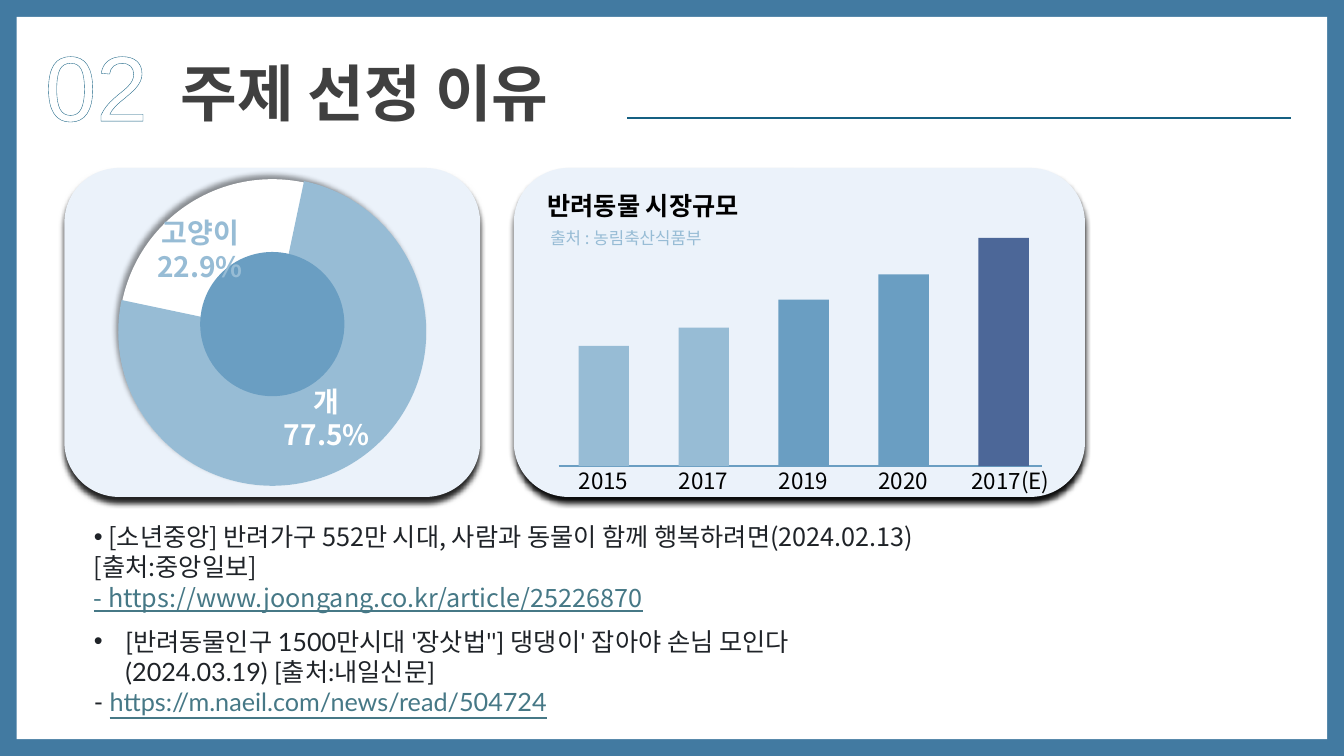
import pptx
import pptx.dml.color
import pptx.enum.shapes
import pptx.enum.text
import pptx.oxml
import pptx.oxml.ns
import pptx.util

Pt = pptx.util.Pt
KIND = pptx.enum.shapes.MSO_SHAPE
qn = pptx.oxml.ns.qn
NS = pptx.oxml.ns.nsdecls("a")
NOTO, LATO, ARIAL = "Noto Sans CJK KR", "Lato", "Arial"
HUES = {
    "frame": "427AA1", "white": "FFFFFF", "teal": "156082", "title": "404040",
    "card": "EBF2FA", "light": "97BCD5", "mid": "6A9EC2", "deep": "4C6798",
    "black": "000000", "body": "1F2328", "link": "467886",
}


def hue(name):
    """Return the named colour."""
    return pptx.dml.color.RGBColor.from_string(HUES[name])


def shape(slide, kind, box, color, shade=None):
    """Add a plain filled shape; shade is (alpha percent, angle)."""
    item = slide.shapes.add_shape(kind, *map(Pt, box))
    item.fill.solid()
    item.fill.fore_color.rgb = hue(color)
    item.line.fill.background()
    item.shadow.inherit = False
    if shade:
        alpha, angle = shade
        item._element.spPr.find(qn("a:effectLst")).append(pptx.oxml.parse_xml(
            f'<a:outerShdw {NS} blurRad="{Pt(4)}" dist="{Pt(4)}" '
            f'dir="{angle * 60000}" algn="ctr" rotWithShape="0">'
            f'<a:srgbClr val="{HUES["black"]}"><a:alpha val="{alpha * 1000}"/>'
            '</a:srgbClr></a:outerShdw>'))
    return item


def rule(slide, left, right, y, color):
    """Add a level line."""
    line = slide.shapes.add_connector(
        pptx.enum.shapes.MSO_CONNECTOR.STRAIGHT, Pt(left), Pt(y), Pt(right), Pt(y))
    line.line.color.rgb = hue(color)
    line.line.width = Pt(1.5)
    line._element.spPr.append(pptx.oxml.parse_xml(f"<a:effectLst {NS}/>"))


def style(run, size, color, face=NOTO, bold=False, under=False):
    """Set the look of a run."""
    font = run.font
    font.size, font.bold, font.name = Pt(size), bold, face
    font.color.rgb = hue(color)
    if under:
        font.underline = True
    run._r.get_or_add_rPr().find(qn("a:latin")).addnext(
        pptx.oxml.parse_xml(f'<a:ea {NS} typeface="{NOTO}"/>'))


def text(slide, box, words, size, color, face=NOTO, bold=False, mid=False):
    """Add a wrapped text box, one paragraph for each line of words."""
    frame = slide.shapes.add_textbox(*map(Pt, box)).text_frame
    frame.word_wrap = True
    frame.auto_size = pptx.enum.text.MSO_AUTO_SIZE.SHAPE_TO_FIT_TEXT
    frame.text = words
    for para in frame.paragraphs:
        if mid:
            para.alignment = pptx.enum.text.PP_ALIGN.CENTER
        for run in para.runs:
            style(run, size, color, face, bold)
    return frame


def head(slide, x, y):
    """Place the number, the title and its line."""
    mark = text(slide, (x, y, 112, 87), "02", 66, "white", ARIAL)
    mark.paragraphs[0].runs[0]._r.rPr.insert(0, pptx.oxml.parse_xml(
        f'<a:ln {NS} w="{Pt(0.75)}"><a:solidFill>'
        f'<a:srgbClr val="{HUES["teal"]}"/></a:solidFill></a:ln>'))
    text(slide, (x + 97, y + 19, 316, 60), "주제 선정 이유", 44, "title", ARIAL, True)
    rule(slide, x + 423, x + 897, y + 67, "teal")


def share(slide, x, y, w, h):
    """Place the card with the ring of cats and dogs."""
    shape(slide, KIND.ROUNDED_RECTANGLE, (x, y, w, h), "card", (85, 90))
    shape(slide, KIND.OVAL, (x + 39, y + 8, 219, 219), "white", (42, 234))
    pie = shape(slide, KIND.PIE, (x + 38.5, y + 7, 220, 220), "light")
    pie.rotation = 281.9
    shape(slide, KIND.FLOWCHART_CONNECTOR, (x + 97, y + 60, 103, 103), "mid")
    text(slide, (x + 146, y + 151, 83, 55), "개77.5%", 20, "white", bold=True, mid=True)
    text(slide, (x + 57, y + 30.5, 80, 55), "고양이\n22.9%", 20, "light", bold=True, mid=True)


def market(slide, x, y, w, h):
    """Place the card with the bars of market size."""
    shape(slide, KIND.ROUNDED_RECTANGLE, (x, y, w, h), "card", (94, 90))
    text(slide, (x + 17, y + 12.5, 176, 29), "반려동물 시장규모", 18, "black", bold=True)
    base = y + 213
    rule(slide, x + 32, x + 377, base, "mid")
    bars = [("2015", 86, "light", 7), ("2017", 99, "light", 7), ("2019", 119, "mid", 7),
            ("2020", 137, "mid", 7), ("2017(E)", 163, "deep", 12)]
    for i, (year, tall, color, shift) in enumerate(bars):
        left = x + 46.3 + 71.4 * i
        shape(slide, KIND.RECTANGLE, (left, base - tall, 36, tall), color)
        text(slide, (left - shift, base - 3, 54 + 2 * shift, 27), year, 16, "black")
    text(slide, (x + 19, y + 39, 306, 22), "출처 : 농림축산식품부", 12, "light")


def news(slide, box, title, dash, link, face, hang=0):
    """Place one bulleted article with its address below."""
    frame = text(slide, box, f"{title}\n{dash}", 18, "body", face)
    first, last = frame.paragraphs
    props = first._p.get_or_add_pPr()
    props.set("marL", str(Pt(hang)))
    props.set("indent", str(-Pt(hang)))
    props.append(pptx.oxml.parse_xml(f'<a:buFont {NS} typeface="Arial"/>'))
    props.append(pptx.oxml.parse_xml(f'<a:buChar {NS} char="•"/>'))
    run = last.add_run()
    run.text = link
    style(run, 18, "link", face, under=True)


def main():
    """Build and save the slide."""
    deck = pptx.Presentation()
    deck.slide_width, deck.slide_height = Pt(960), Pt(540)
    slide = deck.slides.add_slide(deck.slide_layouts[6])
    slide.background.fill.solid()
    slide.background.fill.fore_color.rgb = hue("frame")
    shape(slide, KIND.RECTANGLE, (12, 12, 936, 516), "white")
    head(slide, 25, 17)
    share(slide, 46, 120, 297, 235)
    market(slide, 367, 120, 408, 235)
    news(slide, (60, 369, 632, 75),
         " [소년중앙] 반려가구 552만 시대, 사람과 동물이 함께 행복하려면(2024.02.13) [출처:중앙일보]",
         "", "- https://www.joongang.co.kr/article/25226870", NOTO)
    news(slide, (60, 443.5, 610, 75),
         "[반려동물인구 1500만시대 '장삿법'' 댕댕이' 잡아야 손님 모인다(2024.03.19) [출처:내일신문]".replace("'' ", "''] "),
         "- ", "https://m.naeil.com/news/read/504724", LATO, 22.5)
    deck.save("out.pptx")


if __name__ == "__main__":
    main()
